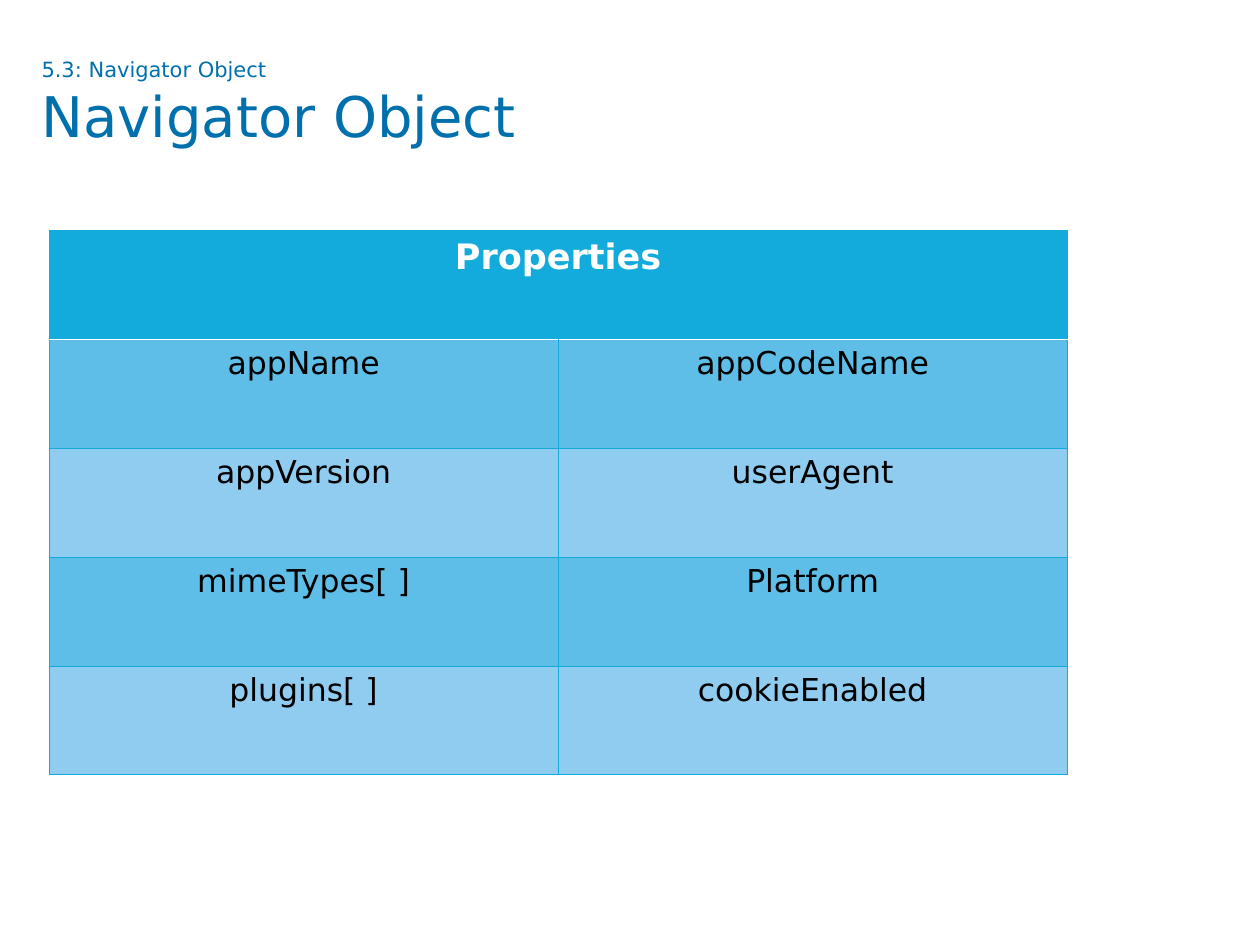
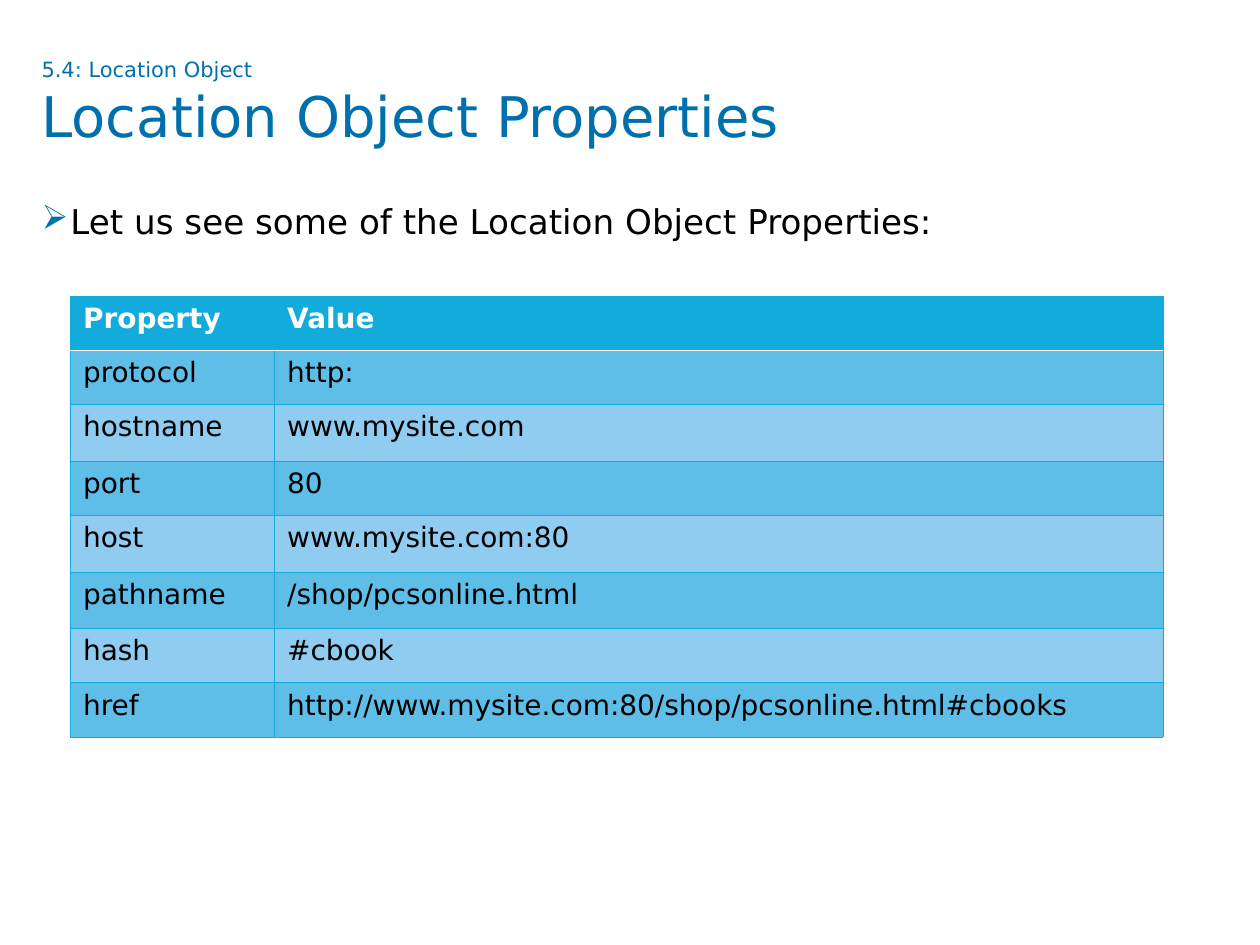
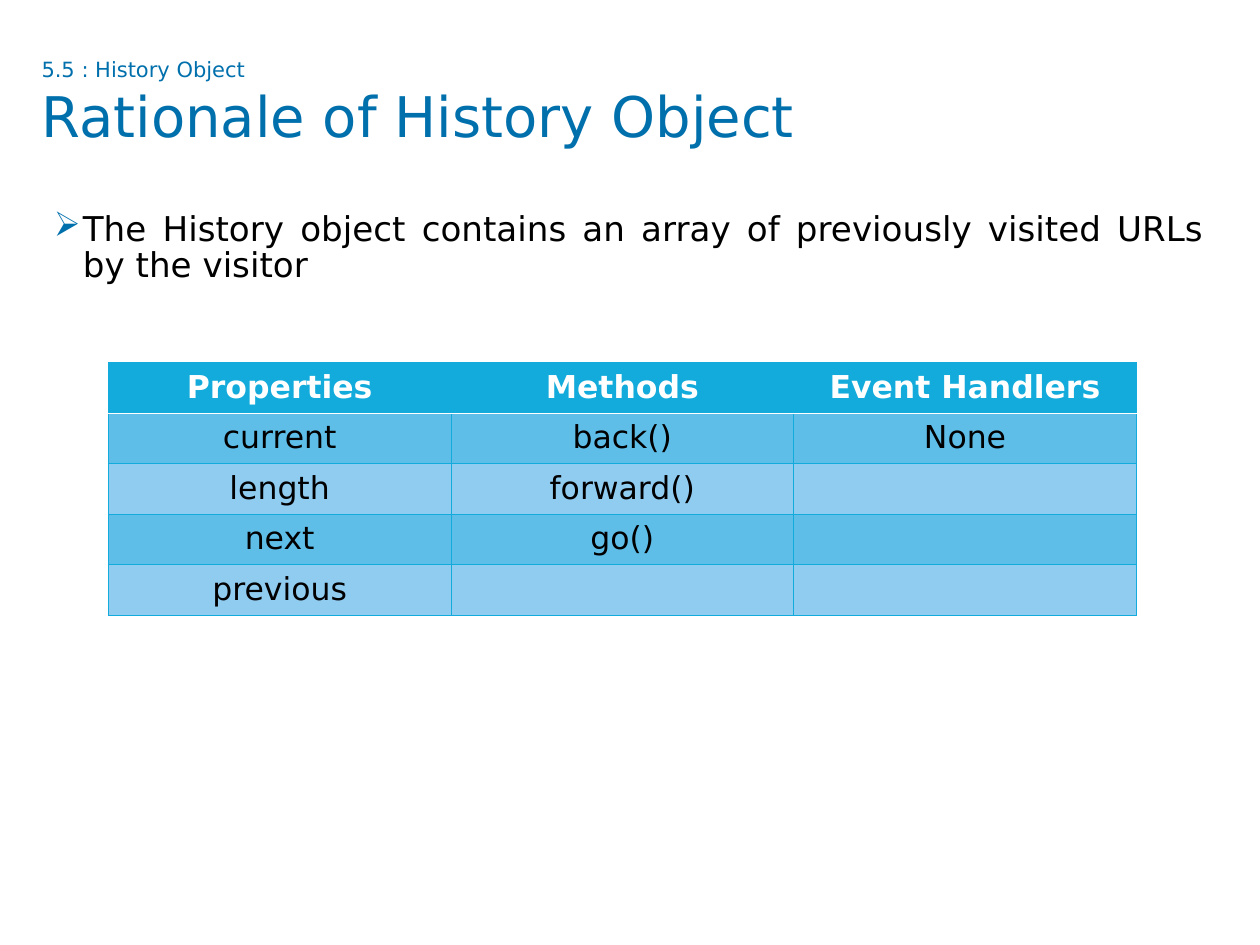
"""Builds three slides on browser objects, each with a titled property table."""
from lxml.etree import SubElement
from pptx import Presentation
from pptx.dml.color import RGBColor
from pptx.enum.text import PP_ALIGN as Align
from pptx.oxml.ns import qn
from pptx.util import Inches, Pt

FONT = "DejaVu Sans"
BLUE, CYAN, WHITE, BLACK = "0070AD", "12ABDB", "FFFFFF", "000000"
BANDS = ("90CBF0", "5EBEE8")
LEFT, WIDTH = 0.33, 9.33

SLIDES = [
    dict(
        section="5.3: Navigator Object", title="Navigator Object",
        at=(0.39, 1.83), cols=[4.04] * 2, rows=[0.864] * 5,
        sizes=(20, 18), align=Align.CENTER,
        cells=[
            ("Properties",),
            ("appName", "appCodeName"),
            ("appVersion", "userAgent"),
            ("mimeTypes[ ]", "Platform"),
            ("plugins[ ]", "cookieEnabled"),
        ],
    ),
    dict(
        section="5.4: Location Object", title="Location Object Properties",
        body="Let us see some of the Location Object Properties:", inset=(0, 0),
        at=(0.56, 2.35), cols=[1.62, 7.05],
        rows=[0.43, 0.43, 0.45, 0.43, 0.45, 0.45, 0.43, 0.43],
        sizes=(16, 16), align=Align.LEFT,
        cells=[
            ("Property", "Value"),
            ("protocol", "http:"),
            ("hostname", "www.mysite.com"),
            ("port", "80"),
            ("host", "www.mysite.com:80"),
            ("pathname", "/shop/pcsonline.html"),
            ("hash", "#cbook"),
            ("href", "http://www.mysite.com:80/shop/pcsonline.html#cbooks"),
        ],
    ),
    dict(
        section="5.5 : History Object", title="Rationale of History Object",
        body="The History object contains an array of previously visited URLs by the visitor",
        inset=(0.1, 0.05),
        at=(0.86, 2.88), cols=[2.72] * 3, rows=[0.39] * 5,
        sizes=(18, 18), align=Align.CENTER,
        cells=[
            ("Properties", "Methods", "Event Handlers"),
            ("current", "back()", "None"),
            ("length", "forward()", ""),
            ("next", "go()", ""),
            ("previous", "", ""),
        ],
    ),
]


def rgb(code):
    return RGBColor.from_string(code)


def style(font, color, size=None, bold=False):
    font.name, font.bold = FONT, bold
    font.color.rgb = rgb(color)
    if size:
        font.size = Pt(size)


def add_text(s, top, height, inset=(0, 0)):
    tf = s.shapes.add_textbox(*map(Inches, (LEFT, top, WIDTH, height))).text_frame
    tf.word_wrap = True
    tf.margin_left = tf.margin_right = Inches(inset[0])
    tf.margin_top = tf.margin_bottom = Inches(inset[1])
    return tf.paragraphs[0]


def add_title(s, section, title):
    p = add_text(s, 0.45, 0.94)
    style(p.font, BLUE)
    for text, size in ((section, 12), (title, 32)):
        if p.runs:
            p.add_line_break()
        r = p.add_run()
        r.text, r.font.size = text, Pt(size)


def add_body(s, text, inset):
    p = add_text(s, 1.63, 5.08, inset)
    p.text, p.alignment, p.line_spacing = text, Align.JUSTIFY, 0.9
    style(p.font, BLACK, 19.5)
    pPr = p._p.get_or_add_pPr()
    pPr.set("marL", str(Inches(0.23)))
    pPr.set("indent", str(-Inches(0.23)))
    color = pPr.makeelement(qn("a:buClr"))
    SubElement(color, qn("a:srgbClr"), val=BLUE)
    bullet = pPr.makeelement(qn("a:buChar"), char="➢")
    pPr.find(qn("a:defRPr")).addprevious(color)
    color.addnext(bullet)


def add_border(cell, edge, color, width):
    ln = SubElement(cell._tc.get_or_add_tcPr(), qn(f"a:ln{edge}"), w=str(Pt(width)))
    SubElement(SubElement(ln, qn("a:solidFill")), qn("a:srgbClr"), val=color)


def add_grid(s, at, cols, rows, cells, sizes, align):
    box = map(Inches, (*at, sum(cols), sum(rows)))
    table = s.shapes.add_table(len(rows), len(cols), *box).table
    for col, width in zip(table.columns, cols):
        col.width = Inches(width)
    for i, (row, height, texts) in enumerate(zip(table.rows, rows, cells)):
        row.height = Inches(height)
        head = i == 0
        for j, cell in enumerate(row.cells):
            for edge in "LRTB":
                under_head = (i, edge) in ((0, "B"), (1, "T"))
                add_border(cell, edge, *((WHITE, 1) if under_head else (CYAN, 0.5)))
            cell.fill.solid()
            cell.fill.fore_color.rgb = rgb(CYAN if head else BANDS[i % 2])
            p = cell.text_frame.paragraphs[0]
            p.text = texts[j] if j < len(texts) else ""
            p.alignment = align
            style(p.font, WHITE if head else BLACK, sizes[0 if head else 1], head)
        if len(texts) < len(cols):
            row.cells[0].merge(table.cell(i, len(cols) - 1))


def main():
    prs = Presentation()
    prs.slide_width, prs.slide_height = Inches(10), Inches(7.5)
    for d in SLIDES:
        s = prs.slides.add_slide(prs.slide_layouts[6])
        add_title(s, d["section"], d["title"])
        if "body" in d:
            add_body(s, d["body"], d["inset"])
        add_grid(s, *(d[k] for k in ("at", "cols", "rows", "cells", "sizes", "align")))
    prs.save("out.pptx")


if __name__ == "__main__":
    main()
